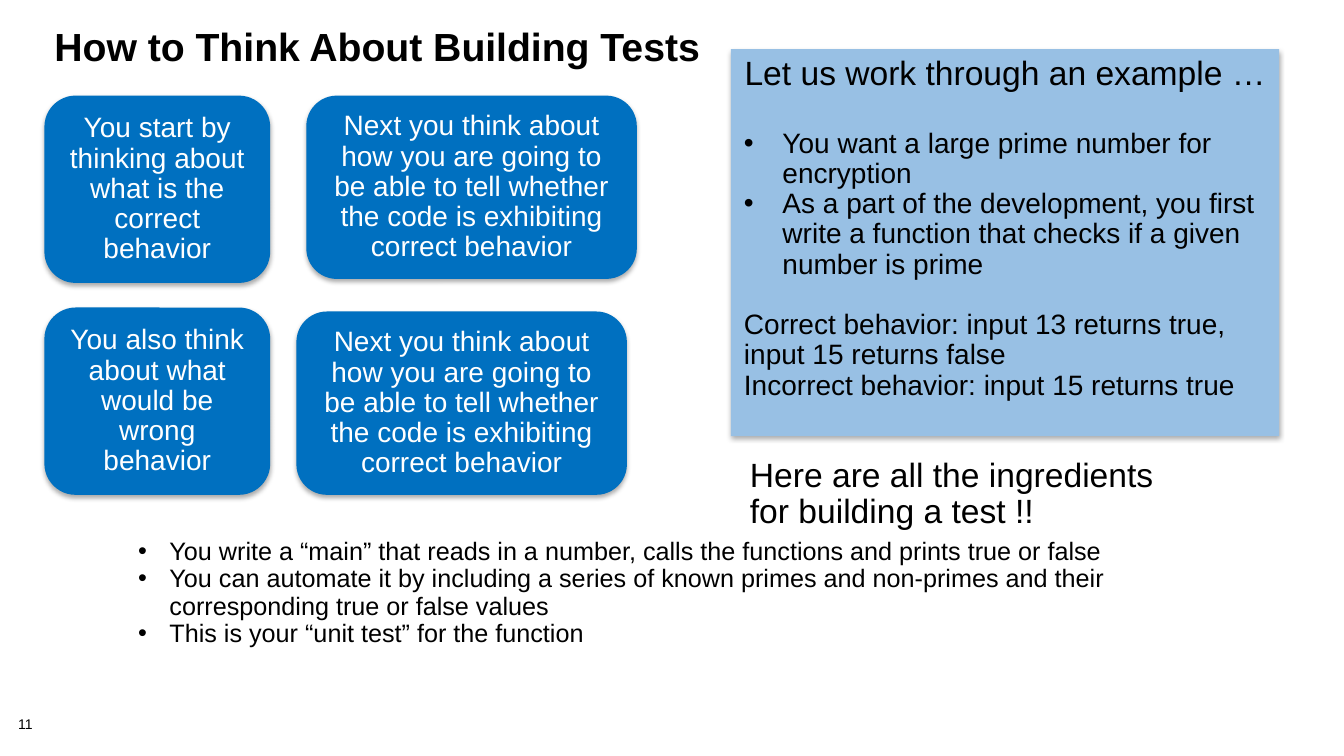
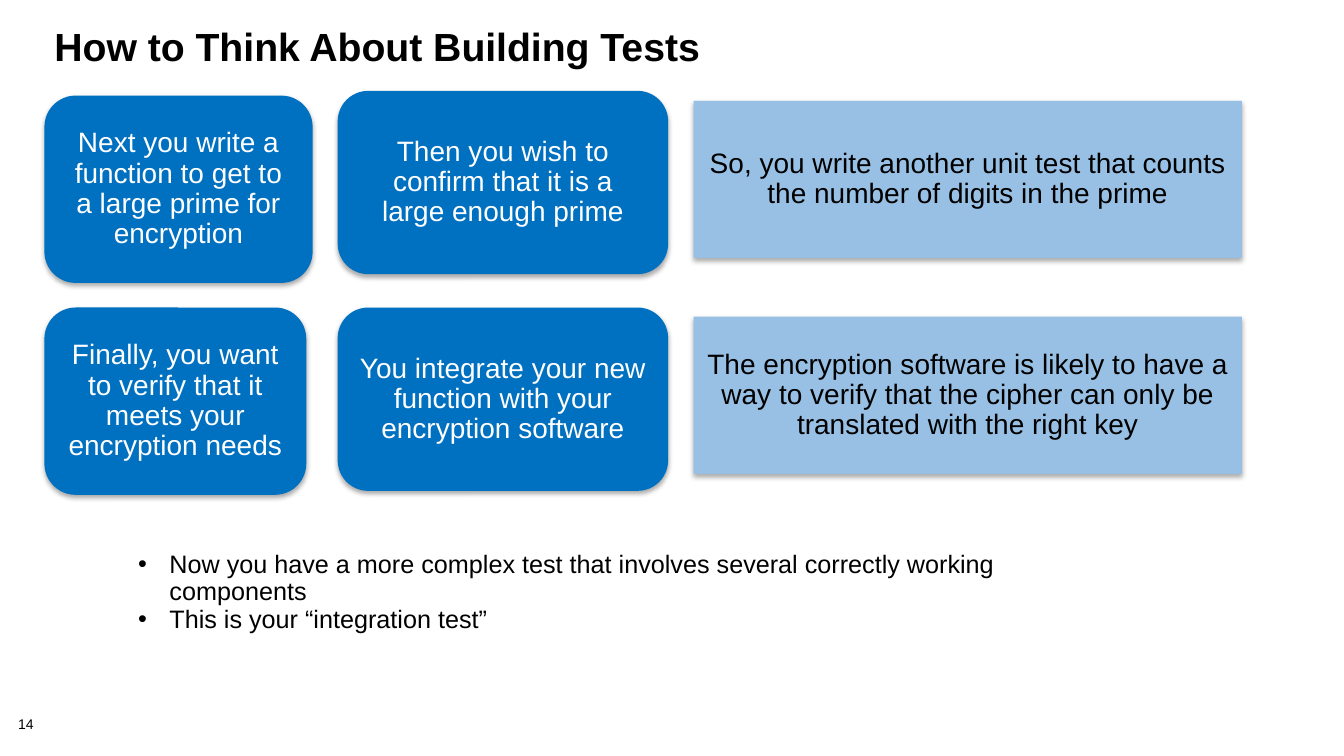
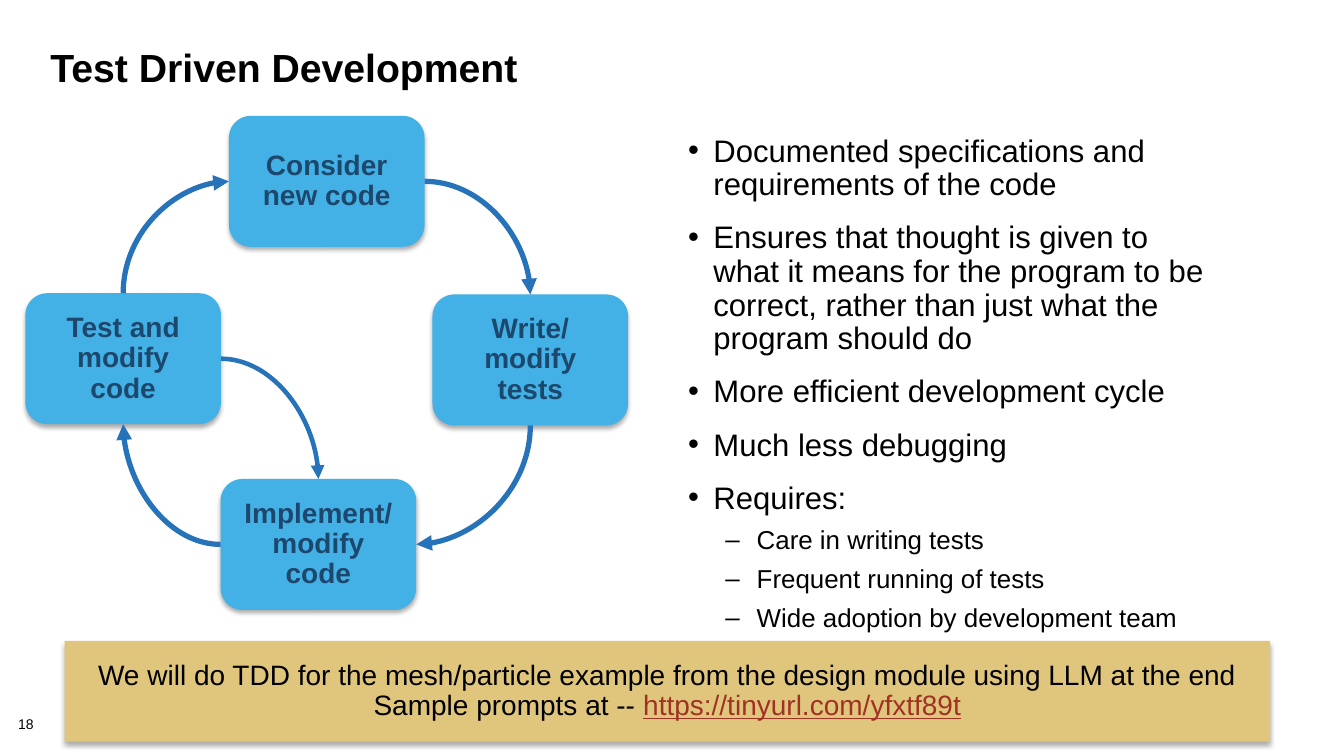
"""Builds three slides about designing tests and test driven development."""
from lxml import etree
from pptx import Presentation
from pptx.dml.color import RGBColor
from pptx.enum import shapes, text
from pptx.oxml import ns
from pptx.util import Cm, Pt

FONT = "Arial"
BLACK, WHITE = "000000", "FFFFFF"
BLUE, PALE_BLUE, SKY, GOLD = "0070C0", "98C0E4", "43B1E5", "E0C67D"
NODE_TEXT, ARROW, LINK = "1D486E", "2673BA", "A03123"
ROUNDED = shapes.MSO_SHAPE.ROUNDED_RECTANGLE
RECTANGLE = shapes.MSO_SHAPE.RECTANGLE
LEFT, CENTER = text.PP_ALIGN.LEFT, text.PP_ALIGN.CENTER
TOP, MIDDLE = text.MSO_ANCHOR.TOP, text.MSO_ANCHOR.MIDDLE
SITE_TOP, SITE_LEFT, SITE_BOTTOM, SITE_RIGHT = range(4)


def color(value):
    """Return the colour for a hex string."""
    return RGBColor.from_string(value)


def add_element(parent, tag, **attributes):
    """Append a drawing element with the given attributes."""
    return etree.SubElement(parent, ns.qn(tag), attributes)


def place(shape, box):
    """Move and size a shape to a box in centimetres."""
    shape.left, shape.top, shape.width, shape.height = map(Cm, box)


def set_frame(frame, anchor=TOP, inset=(0.25, 0.13), wrap=True):
    """Set the anchor, insets and wrapping of a text frame."""
    frame.auto_size = text.MSO_AUTO_SIZE.NONE
    frame.word_wrap = wrap
    frame.vertical_anchor = anchor
    frame.margin_left = frame.margin_right = Cm(inset[0])
    frame.margin_top = frame.margin_bottom = Cm(inset[1])


def style_run(run, size, hue, bold=False, underline=False):
    """Format one run."""
    run.font.name, run.font.size = FONT, Pt(size)
    run.font.bold, run.font.underline = bold, underline
    run.font.color.rgb = color(hue)


def write(frame, words, size=20, hue=BLACK, bold=False, align=LEFT, spacing=0.9,
          before=0, bullet=None, indent=0, hang=0, level=0):
    """Write one formatted paragraph into a frame and return it."""
    first = frame.paragraphs[0]
    paragraph = frame.add_paragraph() if first.runs else first
    if bullet:
        properties = paragraph._p.get_or_add_pPr()
        properties.set("marL", str(Cm(indent)))
        properties.set("indent", str(-Cm(hang)))
        add_element(properties, "a:buFont", typeface=FONT)
        add_element(properties, "a:buChar", char=bullet)
    paragraph.level, paragraph.alignment = level, align
    paragraph.line_spacing = spacing
    paragraph.space_before, paragraph.space_after = Pt(before), Pt(0)
    run = paragraph.add_run()
    run.text = words
    style_run(run, size, hue, bold)
    return paragraph


def add_panel(slide, box, fill, kind=RECTANGLE, anchor=MIDDLE):
    """Add a filled shape with a soft shadow below it."""
    shape = slide.shapes.add_shape(kind, *map(Cm, box))
    shape.fill.solid()
    shape.fill.fore_color.rgb = color(fill)
    shape.line.fill.background()
    shape.shadow.inherit = False
    effects = shape._element.spPr.find(ns.qn("a:effectLst"))
    shadow = add_element(effects, "a:outerShdw", blurRad=str(Pt(3.5)),
                         dist=str(Pt(2.2)), dir="5400000", rotWithShape="0")
    add_element(add_element(shadow, "a:srgbClr", val=BLACK), "a:alpha", val="32000")
    set_frame(shape.text_frame, anchor, (0.33, 0.18))
    return shape


def add_cards(slide, left, top, cards, fill, kind, hue, bold=False):
    """Add centred cards at offsets from a corner and return them."""
    added = []
    for (right, down, width, height), *lines in cards:
        shape = add_panel(slide, (left + right, top + down, width, height), fill, kind)
        for line in lines:
            write(shape.text_frame, line, hue=hue, bold=bold, align=CENTER)
        added.append(shape)
    return added


def add_text(slide, box, lines, size, **frame_format):
    """Add a text box with one paragraph per line."""
    shape = slide.shapes.add_textbox(*map(Cm, box))
    set_frame(shape.text_frame, **frame_format)
    for line in lines:
        write(shape.text_frame, line, size)


def start_slide(presentation, title, number, left=1.12, top=0.61):
    """Add a slide with its title and page number."""
    slide = presentation.slides.add_slide(presentation.slide_layouts[1])
    place(slide.shapes.title, (left, top, 31.6, 2.54))
    set_frame(slide.shapes.title.text_frame)
    write(slide.shapes.title.text_frame, title, 28, bold=True, spacing=0.85)
    add_text(slide, (0.46, 18.08, 1.42, 0.41), [number], 10, inset=(0, 0))
    return slide


def fill_body(slide, box, **frame_format):
    """Place the body placeholder and return its frame."""
    body = slide.placeholders[1]
    place(body, box)
    set_frame(body.text_frame, **frame_format)
    return body.text_frame


def add_conclusions(slide, box, lines):
    """Fill the bulleted list under the cards."""
    frame = fill_body(slide, box, anchor=MIDDLE, inset=(0.33, 0.25))
    for line in lines:
        write(frame, line, 18, bullet="•", indent=0.79, hang=0.79)


def add_example(slide, box):
    """Add the worked example panel."""
    frame = add_panel(slide, box, PALE_BLUE, anchor=TOP).text_frame
    bullet = dict(bullet="•", indent=0.97, hang=0.97)
    write(frame, "Let us work through an example …", 24, align=CENTER)
    write(frame, "You want a large prime number for encryption", before=26, **bullet)
    write(frame, "As a part of the development, you first write a function that "
                 "checks if a given number is prime", **bullet)
    write(frame, "Correct behavior: input 13 returns true, input 15 returns false",
          before=21.6)
    write(frame, "Incorrect behavior: input 15 returns true")


def add_arrow(slide, side, upright, arrow_end, width=3.75):
    """Curve from a left or right site to a top or bottom site."""
    connector = slide.shapes.add_connector(shapes.MSO_CONNECTOR.CURVE, 0, 0, 0, 0)
    connector.begin_connect(*side)
    connector.end_connect(*upright)
    connector.line.color.rgb = color(ARROW)
    connector.line.width = Pt(width)
    properties = connector._element.spPr
    properties.find(ns.qn("a:prstGeom")).set("prst", "curvedConnector2")
    add_element(properties.find(ns.qn("a:ln")), arrow_end, type="triangle")
    add_element(properties, "a:effectLst")


def add_cycle(slide, left, top):
    """Add the development cycle with its arrows."""
    size = (4.93, 3.3)
    consider, tests, implement, check = add_cards(slide, left, top, [
        ((5.13, 0, *size), "Consider new code"),
        ((10.26, 4.5, *size), "Write/", "modify tests"),
        ((4.92, 9.15, *size), "Implement/modify code"),
        ((0, 4.47, *size), "Test and modify code"),
    ], SKY, ROUNDED, NODE_TEXT, bold=True)
    at_end, at_start = "a:tailEnd", "a:headEnd"
    add_arrow(slide, (consider, SITE_RIGHT), (tests, SITE_TOP), at_end)
    add_arrow(slide, (implement, SITE_RIGHT), (tests, SITE_BOTTOM), at_start)
    add_arrow(slide, (implement, SITE_LEFT), (check, SITE_BOTTOM), at_end)
    add_arrow(slide, (consider, SITE_LEFT), (check, SITE_TOP), at_start)
    add_arrow(slide, (check, SITE_RIGHT), (implement, SITE_TOP), at_end, 3.25)


def add_benefits(slide, box):
    """Fill the two-level list beside the cycle."""
    frame = fill_body(slide, box)
    benefits = [
        "Documented specifications and requirements of the code",
        "Ensures that thought is given to what it means for the program to be "
        "correct, rather than just what the program should do",
        "More efficient development cycle",
        "Much less debugging",
        "Requires:",
    ]
    for index, line in enumerate(benefits):
        write(frame, line, 22.2, before=14 if index else 0,
              bullet="•", indent=0.64, hang=0.64)
    for line in ("Care in writing tests", "Frequent running of tests",
                 "Wide adoption by development team"):
        write(frame, line, 18.5, before=8, bullet="–", indent=1.73, hang=0.79, level=1)


def add_banner(slide, box):
    """Add the closing banner with the web address."""
    frame = add_panel(slide, box, GOLD).text_frame
    write(frame, "We will do TDD for the mesh/particle example from the design "
                 "module using LLM at the end", align=CENTER)
    address = write(frame, "Sample prompts at -- ", align=CENTER).add_run()
    address.text = "https://tinyurl.com/yfxtf89t"
    style_run(address, 20, LINK, underline=True)


def build_unit_test(presentation):
    """Build the slide on unit tests."""
    slide = start_slide(presentation, "How to Think About Building Tests", "11")
    tell = ("Next you think about how you are going to be able to tell whether "
            "the code is exhibiting correct behavior")
    add_cards(slide, 1.12, 2.41, [
        ((0, 0, 5.69, 4.72), "You start by thinking about what is the correct behavior"),
        ((6.6, 0, 8.33, 4.62), tell),
        ((0, 5.34, 5.69, 4.72), "You also think about what would be wrong behavior"),
        ((6.35, 5.44, 8.33, 4.62), tell),
    ], BLUE, ROUNDED, WHITE)
    add_conclusions(slide, (3.15, 13.31, 25.35, 3.28), [
        "You write a “main” that reads in a number, calls the functions and prints "
        "true or false",
        "You can automate it by including a series of known primes and non-primes "
        "and their corresponding true or false values",
        "This is your “unit test” for the function",
    ])
    add_text(slide, (18.57, 11.28, 11.18, 2.36),
             ["Here are all the ingredients", "for building a test !!"], 24,
             anchor=MIDDLE, inset=(0.33, 0.25), wrap=False)
    add_example(slide, (18.42, 1.24, 13.82, 9.75))


def build_integration_test(presentation):
    """Build the slide on integration tests."""
    slide = start_slide(presentation, "How to Think About Building Tests", "14")
    add_cards(slide, 1.12, 2.29, [
        ((0, 0.12, 6.76, 4.72),
         "Next you write a function to get to a large prime for encryption"),
        ((7.39, 0, 8.33, 4.62), "Then you wish to confirm that it is a large enough prime"),
        ((0, 5.46, 6.6, 4.72),
         "Finally, you want to verify that it meets your encryption needs"),
        ((7.39, 5.46, 8.33, 4.62),
         "You integrate your new function with your encryption software"),
    ], BLUE, ROUNDED, WHITE)
    add_cards(slide, 17.48, 2.54, [
        ((0, 0, 13.82, 3.96),
         "So, you write another unit test that counts the number of digits in the prime"),
        ((0, 5.44, 13.82, 3.96),
         "The encryption software is likely to have a way to verify that the cipher "
         "can only be translated with the right key"),
    ], PALE_BLUE, RECTANGLE, BLACK)
    add_conclusions(slide, (3.15, 13.64, 25.35, 2.59), [
        "Now you have a more complex test that involves several correctly working "
        "components",
        "This is your “integration test”",
    ])


def build_test_driven(presentation):
    """Build the slide on test driven development."""
    slide = start_slide(presentation, "Test Driven Development", "18", 1.02, 1.14)
    add_cycle(slide, 0.64, 2.92)
    add_benefits(slide, (17.09, 3.28, 13.67, 12.93))
    add_banner(slide, (1.63, 16.15, 30.38, 2.54))


def main():
    """Build and save the presentation."""
    presentation = Presentation()
    presentation.slide_width, presentation.slide_height = Cm(33.87), Cm(19.05)
    build_unit_test(presentation)
    build_integration_test(presentation)
    build_test_driven(presentation)
    presentation.save("out.pptx")


if __name__ == "__main__":
    main()
